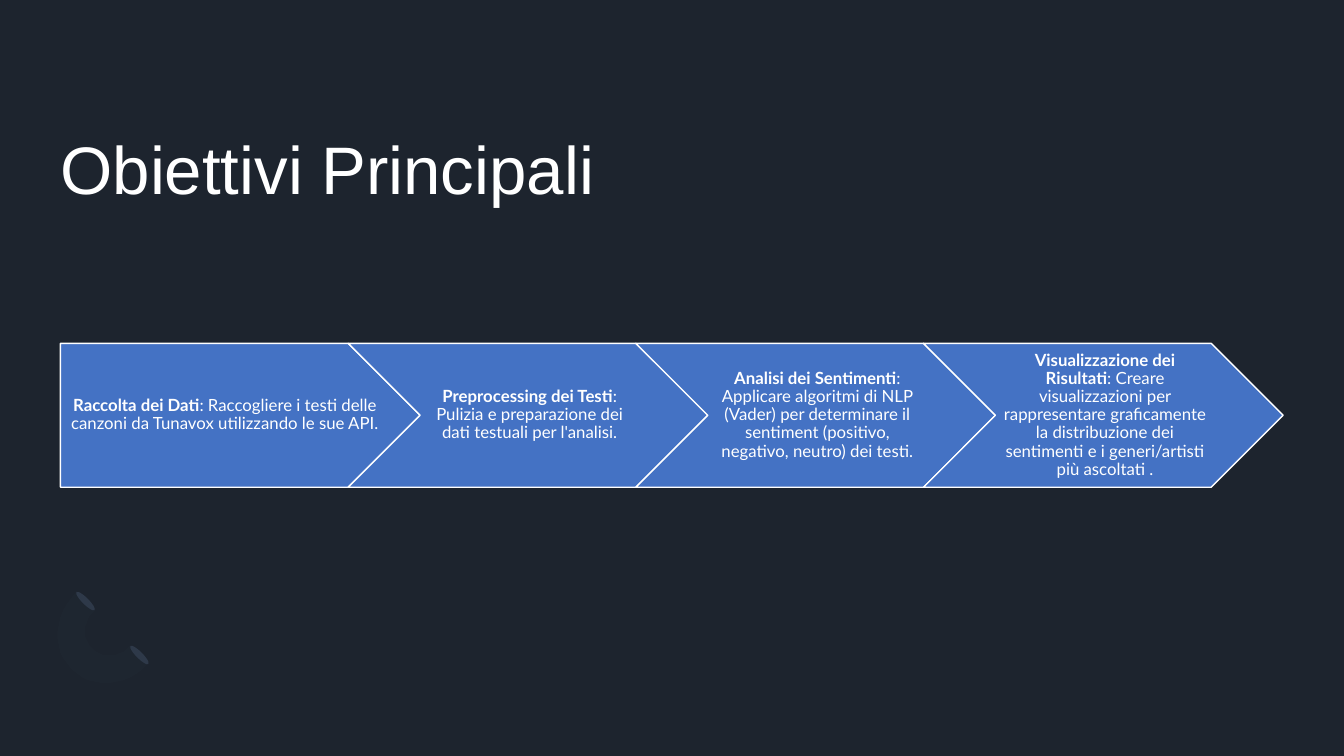
import math

import lxml.etree
import pptx
import pptx.dml.color
import pptx.enum.shapes
import pptx.enum.text
import pptx.oxml.ns
import pptx.util

Pt = pptx.util.Pt
Shape = pptx.enum.shapes.MSO_SHAPE
Anchor = pptx.enum.text.MSO_ANCHOR
Align = pptx.enum.text.PP_ALIGN

COLORS = {
    "background": "1D242E",
    "text": "FFFFFF",
    "step": "4472C4",
    "ring": "7A8EAB",
    "ring_end": "2E3949",
}
LEFT = 43.2
CONTENT_WIDTH = 873.4
STEPS_TOP = 245.25
STEPS = [
    ("Raccolta dei Dati",
     ": Raccogliere i testi delle canzoni da Tunavox utilizzando le sue API."),
    ("Preprocessing dei Testi",
     ": Pulizia e preparazione dei dati testuali per l'analisi."),
    ("Analisi dei Sentimenti",
     ": Applicare algoritmi di NLP (Vader) per determinare il sentiment "
     "(positivo, negativo, neutro) dei testi."),
    ("Visualizzazione dei Risultati",
     ": Creare visualizzazioni per rappresentare graficamente la distribuzione "
     "dei sentimenti e i generi/artisti più ascoltati ."),
]


def rgb(name):
    return pptx.dml.color.RGBColor.from_string(COLORS[name])


def write_text(shape, spans, *, font, size, align, anchor, margins, spacing=1.0):
    """Fill one paragraph with (text, bold) spans; margins run left, top, right, bottom."""
    frame = shape.text_frame
    frame.word_wrap = True
    frame.auto_size = pptx.enum.text.MSO_AUTO_SIZE.NONE
    frame.vertical_anchor = anchor
    (frame.margin_left, frame.margin_top,
     frame.margin_right, frame.margin_bottom) = map(Pt, margins)
    para = frame.paragraphs[0]
    para.alignment = align
    para.line_spacing = spacing
    for text, bold in spans:
        span = para.add_run()
        span.text = text
        span.font.name = font
        span.font.size = Pt(size)
        span.font.bold = bold
        span.font.color.rgb = rgb("text")


def paint(shape, fill, line=None):
    shape.shadow.inherit = False
    shape.fill.solid()
    shape.fill.fore_color.rgb = rgb(fill)
    if line:
        shape.line.color.rgb = rgb(line)
        shape.line.width = Pt(1)
    else:
        shape.line.fill.background()


def set_opacity(shape, percent):
    color = shape.fill._xPr.find(".//" + pptx.oxml.ns.qn("a:srgbClr"))
    alpha = lxml.etree.SubElement(color, pptx.oxml.ns.qn("a:alpha"))
    alpha.set("val", str(percent * 1000))


def add_title(page, text):
    title = page.shapes.title
    title.left, title.top = Pt(LEFT), Pt(87.1)
    title.width, title.height = Pt(CONTENT_WIDTH), Pt(105.1)
    write_text(title, [(text, False)], font="Arial", size=48,
               align=Align.LEFT, anchor=Anchor.TOP, margins=(0, 4, 0, 0))


def add_half_ring(page, center_x, center_y):
    """Faint half ring open to the upper right, with a thin ellipse at each end."""
    def ring_point(angle, across, along):
        u, v = across * math.cos(angle), along * math.sin(angle)
        return (center_x - (u + v) * math.sqrt(0.5),
                center_y + (v - u) * math.sqrt(0.5))

    angles = [math.pi * i / 24 for i in range(25)]
    points = [ring_point(angle, 36.5, 41.5) for angle in angles]
    points += [ring_point(angle, 18, 20.5) for angle in reversed(angles)]
    builder = page.shapes.build_freeform(*points[0], scale=Pt(1))
    builder.add_line_segments(points[1:], close=True)
    ring = builder.convert_to_shape()
    paint(ring, "ring")
    set_opacity(ring, 2)

    width, height = 4.6, 18.4
    for angle in (0, math.pi):
        x, y = ring_point(angle, 27.25, 0)
        end = page.shapes.add_shape(Shape.OVAL, Pt(x - width / 2),
                                    Pt(y - height / 2), Pt(width), Pt(height))
        end.rotation = 135
        paint(end, "ring_end")


def add_steps(page):
    """Arrows overlap by a fifth of their width, the depth of the point."""
    width = CONTENT_WIDTH / (1 + 0.8 * (len(STEPS) - 1))
    for i, (name, detail) in enumerate(STEPS):
        kind = Shape.CHEVRON if i else Shape.PENTAGON
        step = page.shapes.add_shape(kind, Pt(LEFT + 0.8 * width * i),
                                     Pt(STEPS_TOP), Pt(width), Pt(0.4 * width))
        paint(step, "step", line="text")
        write_text(step, [(name, True), (detail, False)], font="Lato", size=12,
                   align=Align.CENTER, anchor=Anchor.MIDDLE, spacing=0.9,
                   margins=(3.78 if i else 5.04, 2.52, 1.26, 2.52))


def main():
    deck = pptx.Presentation()
    deck.slide_width, deck.slide_height = Pt(960), Pt(540)
    page = deck.slides.add_slide(deck.slide_layouts[5])
    page.background.fill.solid()
    page.background.fill.fore_color.rgb = rgb("background")
    add_half_ring(page, 80.3, 448.6)
    add_title(page, "Obiettivi Principali")
    add_steps(page)
    deck.save("out.pptx")


if __name__ == "__main__":
    main()
